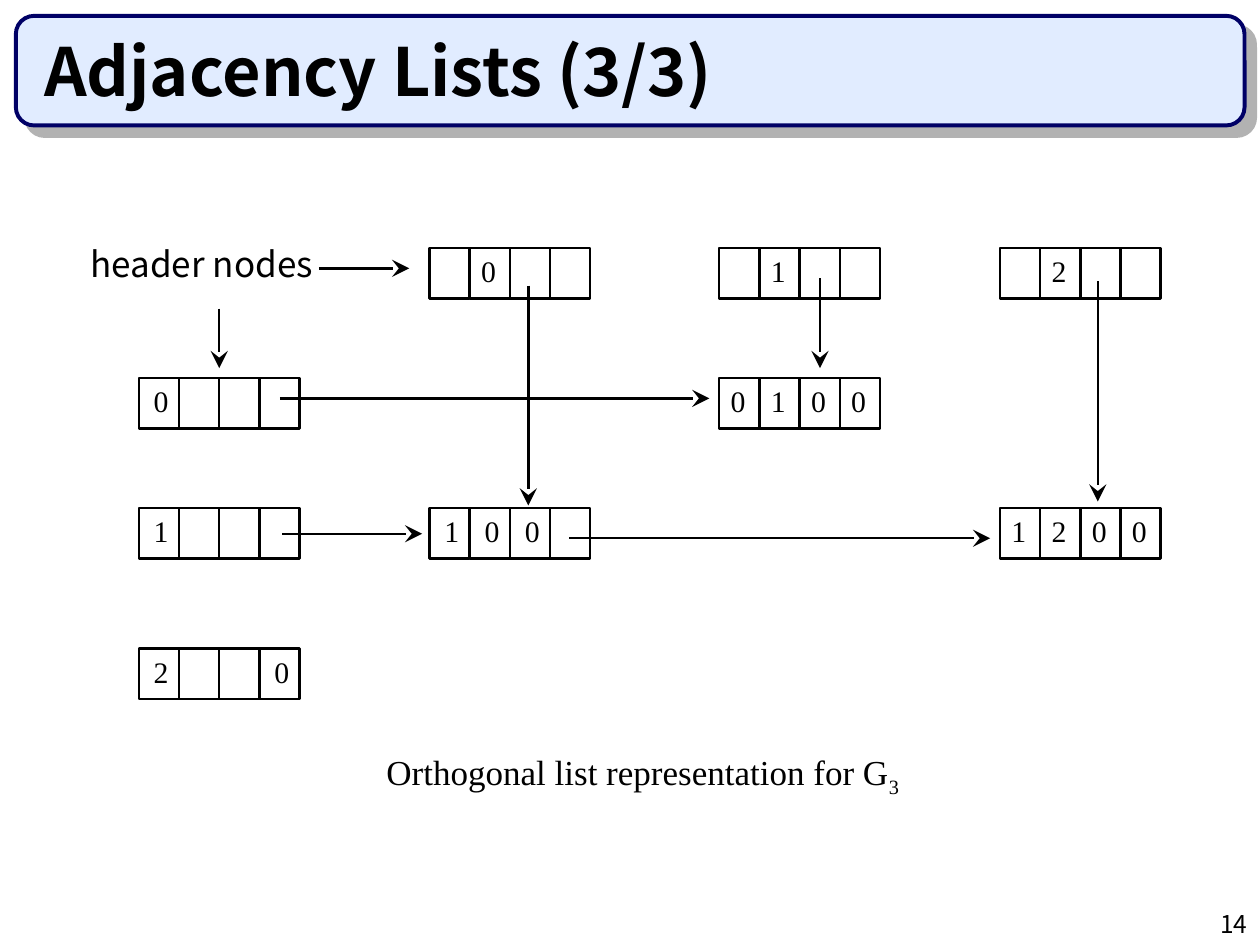
from lxml import etree
from pptx import Presentation
from pptx.dml.color import RGBColor
from pptx.enum.shapes import MSO_CONNECTOR, MSO_SHAPE
from pptx.enum.text import MSO_ANCHOR, MSO_AUTO_SIZE as AutoSize, PP_ALIGN
from pptx.oxml.ns import qn
from pptx.util import Cm, Pt

COLORS = {"ink": "000000", "banner": "E1ECFF", "border": "000066", "shadow": "B2B2B2"}
SANS, SERIF = "Noto Sans CJK KR", "Times New Roman"
LINE_WIDTH = Pt(1.39)
CELL_W, CELL_H = 0.81, 1.02
COLS = (2.8, 8.66, 14.5, 20.16)
ROWS = (5.0, 7.62, 10.24, 13.07)
CENTERED, SHIFTED = 0.23, 0.3  # digit offset from the left side of its cell

# column, row, one character per cell (space = empty), digit offset
NODES = [
    (3, 0, " 2  ", CENTERED),
    (2, 0, " 1  ", CENTERED),
    (1, 0, " 0  ", CENTERED),
    (0, 1, "0   ", SHIFTED),
    (2, 1, "0100", CENTERED),
    (0, 2, "1   ", SHIFTED),
    (1, 2, "100 ", SHIFTED),
    (3, 2, "1200", CENTERED),
    (0, 3, "2  0", SHIFTED),
]

# x1, y1, x2, y2
ARROWS = [
    (6.43, 5.41, 8.25, 5.41),
    (5.64, 8.03, 14.3, 8.03),
    (5.69, 10.76, 8.51, 10.76),
    (11.48, 10.85, 19.96, 10.85),
    (16.53, 5.61, 16.53, 7.42),
    (22.13, 5.67, 22.13, 10.11),
    (4.42, 6.22, 4.42, 7.42),
    (10.65, 5.76, 10.65, 10.19),
]


def color(name):
    return RGBColor.from_string(COLORS[name])


def add_banner(s):
    sp = s.shapes.add_shape(MSO_SHAPE.ROUNDED_RECTANGLE, Cm(0.32), Cm(0.32), Cm(24.77), Cm(2.21))
    sp.adjustments[0] = 0.167
    sp.fill.solid()
    sp.fill.fore_color.rgb = color("banner")
    sp.line.color.rgb = color("border")
    sp.line.width = Pt(2.25)
    sp.shadow.inherit = False
    effects = sp._element.spPr.find(qn("a:effectLst"))
    shadow = etree.SubElement(effects, qn("a:outerShdw"), dist=str(Pt(8.5)), dir="2700000",
                              algn="ctr", rotWithShape="0")
    etree.SubElement(shadow, qn("a:srgbClr"), val=COLORS["shadow"])


def add_text(s, text, x, y, w, h, size, font, align=PP_ALIGN.LEFT):
    sp = s.shapes.add_textbox(Cm(x), Cm(y), Cm(w), Cm(h))
    tf = sp.text_frame
    tf.text = text
    tf.word_wrap = True
    p = tf.paragraphs[0]
    p.alignment = align
    p.font.size = Pt(size)
    p.font.name = font
    p.font.color.rgb = color("ink")
    return tf


def add_label(s, text, x, y, w, h, size, font):
    """Tight centred text without margins."""
    tf = add_text(s, text, x, y, w, h, size, font, PP_ALIGN.CENTER)
    tf.margin_left = tf.margin_right = tf.margin_top = tf.margin_bottom = 0
    tf.word_wrap = False
    tf.auto_size = AutoSize.SHAPE_TO_FIT_TEXT
    tf.paragraphs[0].line_spacing = 0.8


def add_node(s, col, row, digits, offset):
    """Row of four cells, some of them holding a digit."""
    y = ROWS[row]
    for i, digit in enumerate(digits):
        x = COLS[col] + i * CELL_W
        sp = s.shapes.add_shape(MSO_SHAPE.RECTANGLE, Cm(x), Cm(y), Cm(CELL_W), Cm(CELL_H))
        sp.fill.background()
        sp.line.color.rgb = color("ink")
        sp.line.width = LINE_WIDTH
        sp.shadow.inherit = False
        if digit != " ":
            add_label(s, digit, x + offset, y + 0.24, 0.3, 0.58, 17, SERIF)


def add_arrow(s, x1, y1, x2, y2):
    cn = s.shapes.add_connector(MSO_CONNECTOR.STRAIGHT, Cm(x1), Cm(y1), Cm(x2), Cm(y2))
    cn.line.color.rgb = color("ink")
    cn.line.width = LINE_WIDTH
    spPr = cn._element.spPr
    etree.SubElement(spPr.find(qn("a:ln")), qn("a:tailEnd"), type="stealth", w="lg", len="lg")
    etree.SubElement(spPr, qn("a:effectLst"))


def add_caption(s):
    tf = add_text(s, "Orthogonal list representation for G", 7.54, 15.01, 10.85, 1.22, 20, SERIF)
    tf.word_wrap = False
    tf.auto_size = AutoSize.SHAPE_TO_FIT_TEXT
    r = tf.paragraphs[0].add_run()
    r.text = "3"
    r.font._element.set("baseline", "-25000")


def main():
    prs = Presentation()
    prs.slide_width, prs.slide_height = Cm(25.4), Cm(19.05)
    s = prs.slides.add_slide(prs.slide_layouts[6])
    add_banner(s)
    add_text(s, "14", 20.12, 18.21, 5.28, 0.84, 14, SANS, PP_ALIGN.RIGHT)
    title = add_text(s, "Adjacency Lists (3/3)", 0.64, 0.64, 23.93, 1.7, 38, SANS)
    title.vertical_anchor = MSO_ANCHOR.BOTTOM
    title.paragraphs[0].font.bold = True
    add_caption(s)
    for node in NODES:
        add_node(s, *node)
    add_label(s, "header nodes", 1.78, 5.05, 4.57, 0.69, 20, SANS)
    for arrow in ARROWS:
        add_arrow(s, *arrow)
    prs.save("out.pptx")


if __name__ == "__main__":
    main()
